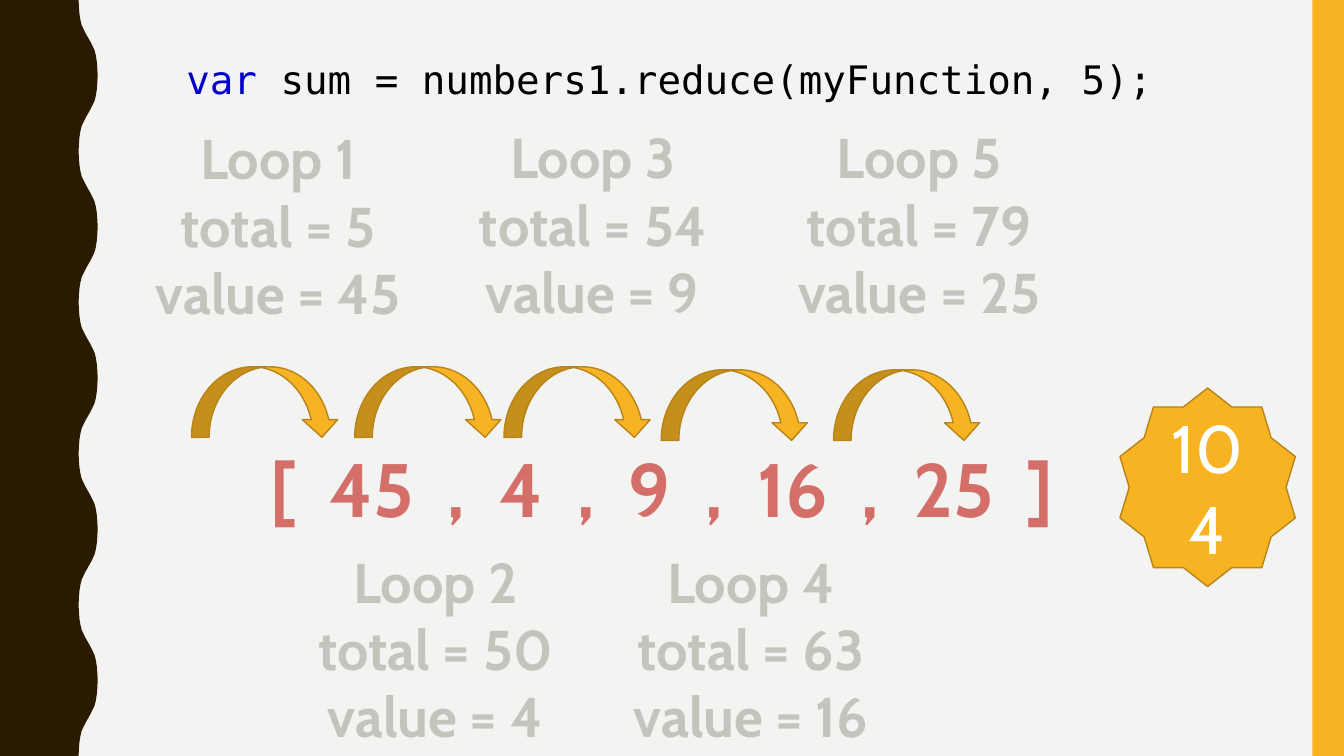
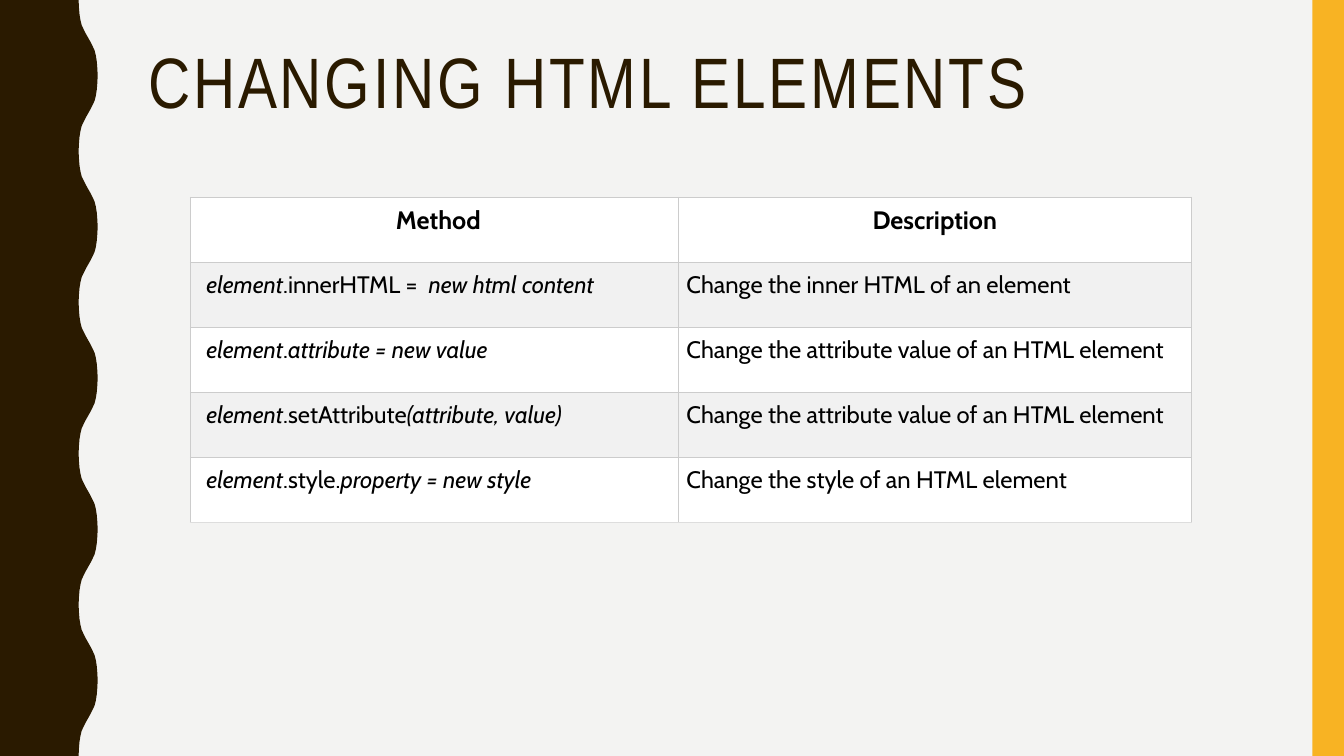
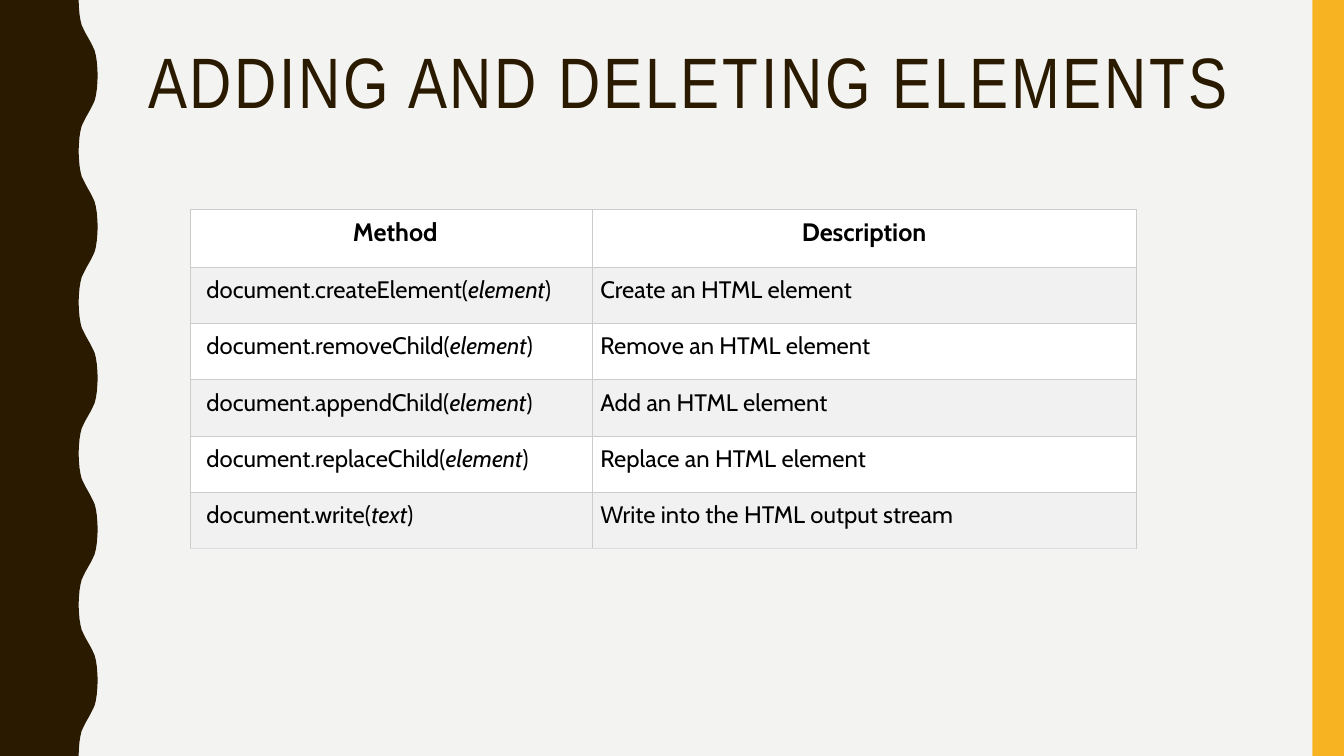
from itertools import accumulate

from lxml import etree
from pptx import Presentation
from pptx.dml.color import RGBColor
from pptx.enum.shapes import MSO_SHAPE
from pptx.enum.text import MSO_ANCHOR, MSO_AUTO_SIZE, PP_ALIGN
from pptx.oxml.ns import qn
from pptx.util import Pt

RECTANGLE = MSO_SHAPE.RECTANGLE
CURVED_ARROW = MSO_SHAPE.CURVED_DOWN_ARROW
STAR = MSO_SHAPE.STAR_10_POINT
LEFT, CENTER = PP_ALIGN.LEFT, PP_ALIGN.CENTER
TOP, MIDDLE = MSO_ANCHOR.TOP, MSO_ANCHOR.MIDDLE
NO_FIT, GROW = MSO_AUTO_SIZE.NONE, MSO_AUTO_SIZE.SHAPE_TO_FIT_TEXT

PAPER = RGBColor(0xF3, 0xF3, 0xF2)
BROWN = RGBColor(0x2A, 0x1A, 0x00)
AMBER = RGBColor(0xF8, 0xB3, 0x23)
DARK_AMBER = RGBColor(0xB7, 0x84, 0x1A)
CORAL = RGBColor(0xD3, 0x6F, 0x68)
SAGE = RGBColor(0xC2, 0xC5, 0xBB)
DARK_SAGE = RGBColor(0x65, 0x6A, 0x59)
KEYWORD_BLUE = RGBColor(0x00, 0x00, 0xCD)
BLACK = RGBColor(0x00, 0x00, 0x00)
WHITE = RGBColor(0xFF, 0xFF, 0xFF)
ROW_GREY = RGBColor(0xF1, 0xF1, 0xF1)
GRID_GREY = RGBColor(0xCC, 0xCC, 0xCC)
LAST_GREY = RGBColor(0xDD, 0xDD, 0xDD)

TITLE_FONT = "Arial Narrow"
BODY_FONT = "Cabin"
CODE_FONT = "DejaVu Sans Mono"

WIDTH, HEIGHT = 960, 540
TITLE_ONLY, BLANK = 5, 6
WAVE_LENGTH = 108
WAVE_SUM = 126
WAVE_QUARTER = [(56.2, 0), (56.4, 5), (56.8, 10), (57.5, 14.4),
                (58.4, 18), (59.8, 21), (61.3, 24), (63, 27)]

NUMBERS = (45, 4, 9, 16, 25)
START_TOTAL = 5
LOOP_WIDTH = 200
LOOP_PLACES = [(198.7, 85), (311, 387.4), (423.4, 84.2), (536.4, 387.4), (656.6, 84.2)]
ARROW_PLACES = [(136.8, 262), (253.4, 262), (360, 262), (472.3, 264.2), (595.4, 264.2)]

CHANGING_ROWS = [
    ("*element*.innerHTML =  *new html content*", "Change the inner HTML of an element"),
    ("*element*.*attribute = new value*", "Change the attribute value of an HTML element"),
    ("*element*.setAttribute*(attribute, value)*", "Change the attribute value of an HTML element"),
    ("*element*.style.*property = new style*", "Change the style of an HTML element"),
]
ADDING_ROWS = [
    ("document.createElement(*element*)", "Create an HTML element"),
    ("document.removeChild(*element*)", "Remove an HTML element"),
    ("document.appendChild(*element*)", "Add an HTML element"),
    ("document.replaceChild(*element*)", "Replace an HTML element"),
    ("document.write(*text*)", "Write into the HTML output stream"),
]


def format_span(span, size, color, font=BODY_FONT, bold=False, italic=False):
    span.font.size = Pt(size)
    span.font.name = font
    span.font.bold = bold
    span.font.italic = italic
    span.font.color.rgb = color


def line_element(tag, color, width):
    line = etree.Element(qn(tag), w=str(Pt(width)))
    fill = etree.SubElement(line, qn("a:solidFill"))
    etree.SubElement(fill, qn("a:srgbClr"), val=str(color))
    return line


def outline_span(span, color, width):
    span.font._element.insert(0, line_element("a:ln", color, width))


def paint(shape, fill, line=None):
    shape.shadow.inherit = False
    shape.fill.solid()
    shape.fill.fore_color.rgb = fill
    if line is None:
        shape.line.fill.background()
    else:
        shape.line.color.rgb = line
        shape.line.width = Pt(1)


def add_figure(slide, kind, left, top, width, height, fill, line=None):
    shape = slide.shapes.add_shape(kind, Pt(left), Pt(top), Pt(width), Pt(height))
    paint(shape, fill, line)
    return shape


def add_wave(slide):
    half = WAVE_QUARTER + [(WAVE_SUM - x, WAVE_LENGTH / 2 - y)
                           for x, y in reversed(WAVE_QUARTER[:-1])]
    period = half + [(x, WAVE_LENGTH - y) for x, y in reversed(half[:-1])]
    edge = [(x, y + start) for start in range(0, HEIGHT, WAVE_LENGTH) for x, y in period]
    builder = slide.shapes.build_freeform(0, 0, scale=1.0)
    builder.add_line_segments([(Pt(x), Pt(y)) for x, y in edge + [(0, HEIGHT)]], close=True)
    wave = builder.convert_to_shape()
    paint(wave, BROWN)
    return wave


def decorate_master(deck, slide):
    master = deck.slide_master
    master.background.fill.solid()
    master.background.fill.fore_color.rgb = PAPER
    bar = add_figure(slide, RECTANGLE, 937.5, 0, 22.5, HEIGHT, AMBER)
    for shape in (add_wave(slide), bar):
        master.shapes.element.append(shape.element)


def add_text(slide, left, top, width, height, lines, align=CENTER):
    box = slide.shapes.add_textbox(Pt(left), Pt(top), Pt(width), Pt(height))
    frame = box.text_frame
    frame.word_wrap = False
    frame.auto_size = GROW
    frame.text = "\n".join(lines)
    for para in frame.paragraphs:
        para.alignment = align
    return frame


def add_outlined_text(slide, place, lines, size, color, edge, edge_width):
    for para in add_text(slide, *place, lines).paragraphs:
        span = para.runs[0]
        format_span(span, size, color, bold=True)
        outline_span(span, edge, edge_width)


def add_title(slide, text):
    title = slide.shapes.title
    title.left, title.top, title.width, title.height = Pt(98.6), Pt(30.2), Pt(801.4), Pt(117.4)
    frame = title.text_frame
    frame.text = text
    frame.auto_size = NO_FIT
    frame.vertical_anchor = TOP
    para = frame.paragraphs[0]
    para.alignment = LEFT
    para.line_spacing = 0.9
    span = para.runs[0]
    format_span(span, 51, BROWN, TITLE_FONT)
    span.font._element.set("spc", "200")


def fill_cell(cell, text, header, left_inset, fill, bottom_color):
    cell.margin_left = Pt(left_inset)
    cell.margin_top = cell.margin_right = cell.margin_bottom = Pt(5.8)
    cell.fill.solid()
    cell.fill.fore_color.rgb = fill
    para = cell.text_frame.paragraphs[0]
    para.alignment = CENTER if header else LEFT
    for index, piece in enumerate(text.split("*")):
        if piece:
            span = para.add_run()
            span.text = piece
            format_span(span, 18 if header else 17, BLACK, bold=header, italic=index % 2 == 1)
    borders = [("a:lnL", GRID_GREY), ("a:lnR", GRID_GREY),
               ("a:lnT", GRID_GREY), ("a:lnB", bottom_color)]
    properties = cell._tc.get_or_add_tcPr()
    for position, (tag, color) in enumerate(borders):
        properties.insert(position, line_element(tag, color, 0.75))


def add_method_table(slide, top, widths, heights, rows):
    rows = [("Method", "Description")] + rows
    table = slide.shapes.add_table(len(rows), len(widths), Pt(136), Pt(top),
                                   Pt(sum(widths)), Pt(sum(heights))).table
    table.first_row = False
    table.horz_banding = False
    for column, width in zip(table.columns, widths):
        column.width = Pt(width)
    for index, (row, height, texts) in enumerate(zip(table.rows, heights, rows)):
        row.height = Pt(height)
        fill = ROW_GREY if index % 2 else WHITE
        bottom_color = LAST_GREY if index == len(rows) - 1 else GRID_GREY
        for cell, text, inset in zip(row.cells, texts, (11.5, 5.8)):
            fill_cell(cell, text, index == 0, inset, fill, bottom_color)


def add_code_line(slide):
    frame = add_text(slide, 126, 36, 708, 41, ["var"], LEFT)
    para = frame.paragraphs[0]
    para.add_run().text = " sum = numbers1.reduce(myFunction, 5);"
    for span, color in zip(para.runs, (KEYWORD_BLUE, BLACK)):
        format_span(span, 28, color, CODE_FONT)


def add_result_star(slide, result):
    star = add_figure(slide, STAR, 800, 277.2, 125.3, 141.8, AMBER, DARK_AMBER)
    frame = star.text_frame
    frame.text = str(result)
    frame.vertical_anchor = MIDDLE
    para = frame.paragraphs[0]
    para.alignment = CENTER
    format_span(para.runs[0], 48, WHITE)


def build_reduce_slide(slide):
    totals = list(accumulate(NUMBERS, initial=START_TOTAL))
    array = "[  " + "  ,  ".join(map(str, NUMBERS)) + "  ]"
    add_outlined_text(slide, (151.2, 311.8, 643, 72.7), [array], 54, CORAL, WHITE, 0.75)
    for left, top in ARROW_PLACES:
        add_figure(slide, CURVED_ARROW, left, top, 105.8, 50.4, AMBER, DARK_AMBER)
    loops = zip(LOOP_PLACES, totals, NUMBERS)
    for number, ((center, top), total, value) in enumerate(loops, start=1):
        lines = [f"Loop {number}", f"total = {total}", f"value = {value}"]
        place = (center - LOOP_WIDTH / 2, top, LOOP_WIDTH, 152.6)
        add_outlined_text(slide, place, lines, 40, SAGE, DARK_SAGE, 1.75)
    add_result_star(slide, totals[-1])
    add_code_line(slide)


def build_table_slide(deck, title, top, widths, heights, rows):
    slide = deck.slides.add_slide(deck.slide_layouts[TITLE_ONLY])
    add_title(slide, title)
    add_method_table(slide, top, widths, heights, rows)


def main():
    deck = Presentation()
    deck.slide_width, deck.slide_height = Pt(WIDTH), Pt(HEIGHT)
    reduce_slide = deck.slides.add_slide(deck.slide_layouts[BLANK])
    decorate_master(deck, reduce_slide)
    build_reduce_slide(reduce_slide)
    build_table_slide(deck, "CHANGING HTML ELEMENTS", 141, (348.5, 366.5),
                      [46.5] * 5, CHANGING_ROWS)
    build_table_slide(deck, "ADDING AND DELETING ELEMENTS", 149.5, (287, 388.5),
                      [41.5] + [40.2] * 5, ADDING_ROWS)
    deck.save("out.pptx")


if __name__ == "__main__":
    main()
